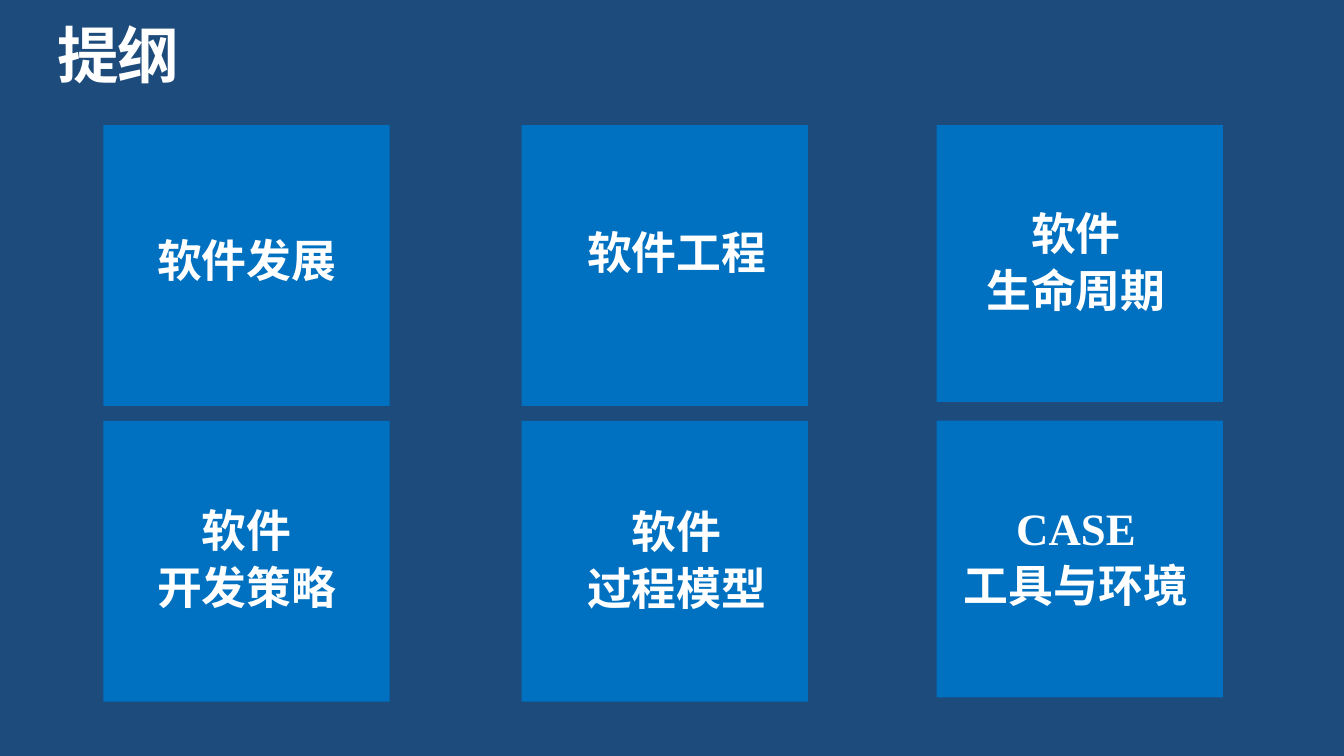
from pptx import Presentation
from pptx.dml.color import RGBColor
from pptx.enum.shapes import MSO_SHAPE
from pptx.enum.text import MSO_ANCHOR, MSO_AUTO_SIZE, PP_ALIGN
from pptx.oxml.ns import qn
from pptx.util import Pt
from lxml.etree import SubElement

# Content: topics by row, each a list of lines
TITLE = "提纲"
TOPIC_ROWS = [
    [["软件发展"], ["软件工程"], ["软件", "生命周期"]],
    [["软件", "开发策略"], ["软件", "过程模型"], ["CASE", "工具与环境"]],
]

THEME = {
    "background": RGBColor(0x1D, 0x4C, 0x7C),
    "tile": RGBColor(0x00, 0x70, 0xC0),
    "text": RGBColor(0xFF, 0xFF, 0xFF),
    "cjk_font": "Noto Sans CJK SC",
    "latin_font": "Times New Roman",
    "title_size": 33,
    "topic_size": 24,
    "line_spacing": 0.9,
}

# Layout in points
SLIDE_SIZE = (720, 405)
TITLE_BOX = (31, 13.7, 658.8, 36)
TILE_WIDTH = 153.4
TILE_ROWS = (67, 225.4)
COLUMNS = [  # tile left, tile height, label left
    (55.4, 150.5, 67.7),
    (279.4, 150.5, 298.1),
    (501.8, 148.3, 511.9),
]
LABEL_WIDTH = 128.9
LABEL_HEIGHTS = {1: 26, 2: 58.3}
LABEL_CENTRES = [(141.1, 136.8, 141.5), (300.6, 301.3, 299.9)]


def points(*lengths):
    return [Pt(length) for length in lengths]


def prepare_frame(frame, anchor):
    frame.word_wrap = True
    frame.auto_size = MSO_AUTO_SIZE.SHAPE_TO_FIT_TEXT
    frame.vertical_anchor = anchor
    frame.margin_left = frame.margin_right = Pt(0)
    frame.margin_top = frame.margin_bottom = Pt(0)


def write_lines(frame, lines, size, alignment):
    for index, line in enumerate(lines):
        paragraph = frame.paragraphs[0] if index == 0 else frame.add_paragraph()
        paragraph.alignment = alignment
        paragraph.line_spacing = THEME["line_spacing"]
        paragraph.space_before = Pt(0.2 * size if index else 0)
        run = paragraph.add_run()
        run.text = line
        run.font.size = Pt(size)
        run.font.bold = True
        run.font.color.rgb = THEME["text"]
        run.font.name = THEME["latin_font" if line.isascii() else "cjk_font"]
        east_asian = SubElement(run.font._element, qn("a:ea"))
        east_asian.set("typeface", THEME["cjk_font"])


def add_topic(slide, row, column, lines):
    tile_left, tile_height, label_left = COLUMNS[column]
    topic = slide.shapes.add_group_shape()

    # Tile
    tile = topic.shapes.add_shape(
        MSO_SHAPE.RECTANGLE,
        *points(tile_left, TILE_ROWS[row], TILE_WIDTH, tile_height))
    tile.shadow.inherit = False
    tile.fill.solid()
    tile.fill.fore_color.rgb = THEME["tile"]
    tile.line.fill.background()

    # Label
    height = LABEL_HEIGHTS[len(lines)]
    top = LABEL_CENTRES[row][column] - height / 2
    label = topic.shapes.add_textbox(*points(label_left, top, LABEL_WIDTH, height))
    prepare_frame(label.text_frame, MSO_ANCHOR.MIDDLE)
    write_lines(label.text_frame, lines, THEME["topic_size"], PP_ALIGN.CENTER)


def main():
    deck = Presentation()
    deck.slide_width, deck.slide_height = points(*SLIDE_SIZE)
    slide = deck.slides.add_slide(deck.slide_layouts[5])
    slide.background.fill.solid()
    slide.background.fill.fore_color.rgb = THEME["background"]

    # Title
    title = slide.shapes.title
    title.left, title.top, title.width, title.height = points(*TITLE_BOX)
    prepare_frame(title.text_frame, MSO_ANCHOR.TOP)
    write_lines(title.text_frame, [TITLE], THEME["title_size"], PP_ALIGN.LEFT)
    title.text_frame.paragraphs[0].runs[0].font._element.set("spc", "-80")

    # Topic grid
    for row, topics in enumerate(TOPIC_ROWS):
        for column, lines in enumerate(topics):
            add_topic(slide, row, column, lines)

    deck.save("out.pptx")


if __name__ == "__main__":
    main()
